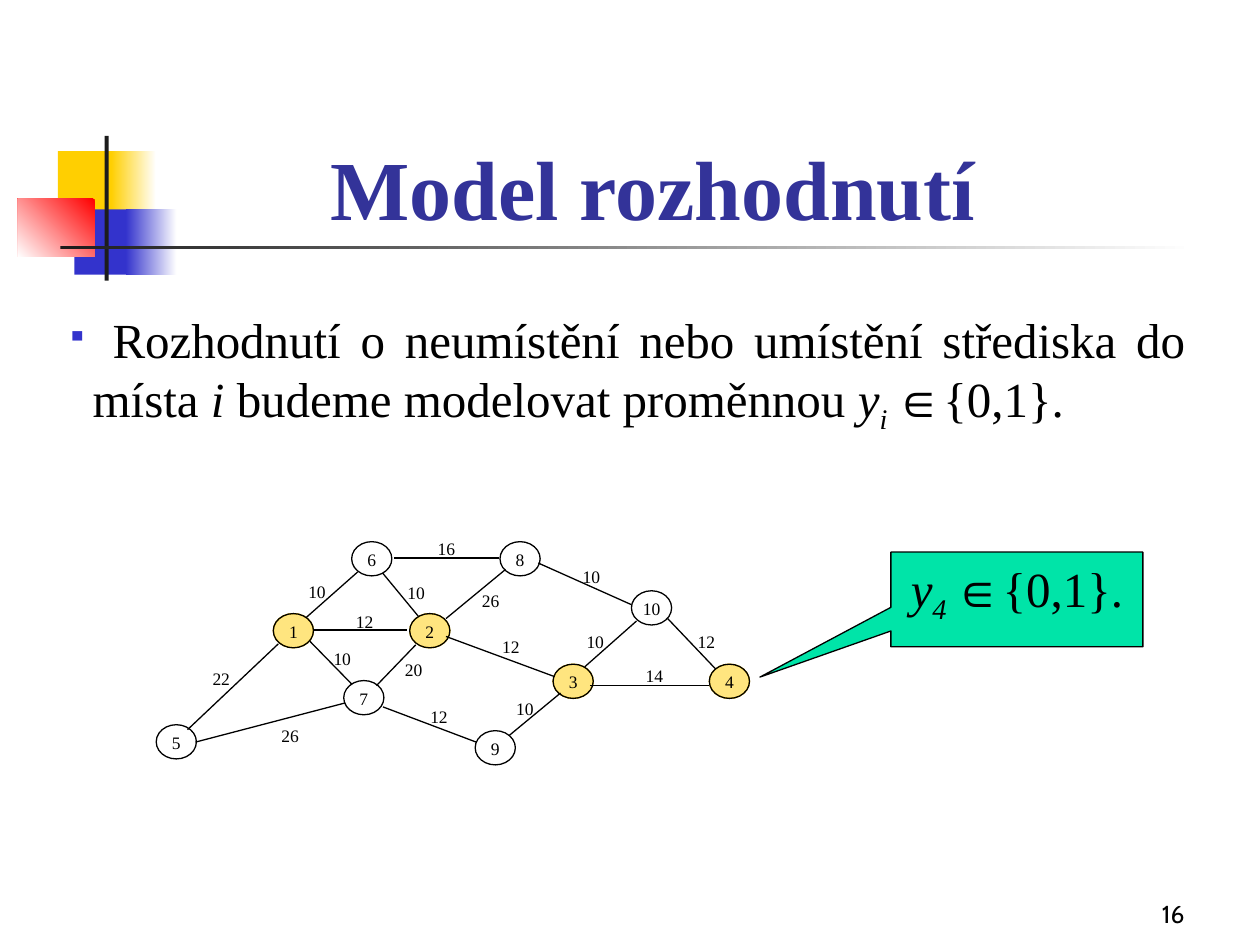
import pptx
import pptx.dml.color
import pptx.enum.shapes
import pptx.enum.text
import pptx.oxml
import pptx.oxml.ns
import pptx.util

Cm = pptx.util.Cm
Pt = pptx.util.Pt
SHAPE = pptx.enum.shapes.MSO_SHAPE
ALIGN = pptx.enum.text.PP_ALIGN
ANCHOR = pptx.enum.text.MSO_ANCHOR

NODE_WIDTH, NODE_HEIGHT = 0.81, 0.69
NUMBER_WIDTH, WEIGHT_WIDTH = 0.91, 1.04

# number: left, top
NODES = {
    1: (5.51, 12.37), 2: (8.26, 12.37), 3: (11.15, 13.39), 4: (14.3, 13.39),
    5: (3.15, 14.61), 6: (7.09, 10.92), 7: (6.93, 13.72), 8: (10.08, 10.92),
    9: (9.58, 14.73), 10: (12.73, 11.91),
}
CENTRES = (1, 2, 3, 4)

# line start, line end, weight, left and top of the weight
EDGES = [
    ((3.78, 14.71), (5.61, 12.98), 22, (3.94, 13.34)),
    ((3.94, 14.96), (6.96, 14.17), 26, (5.33, 14.5)),
    ((6.25, 12.93), (7.09, 13.79), 10, (6.38, 12.93)),
    ((6.17, 12.45), (7.21, 11.53), 10, (5.87, 11.58)),
    ((6.32, 12.7), (8.2, 12.7), 12, (6.83, 12.19)),
    ((8.99, 12.83), (11.18, 13.64), 12, (9.78, 12.7)),
    ((11.89, 13.82), (14.3, 13.82), 14, (12.67, 13.28)),
    ((7.59, 13.82), (8.38, 13.0), 20, (7.82, 13.16)),
    ((7.72, 14.25), (9.6, 14.96), 12, (8.33, 14.1)),
    ((10.26, 14.83), (11.3, 13.97), 10, (10.06, 13.94)),
    ((7.95, 11.25), (10.06, 11.25), 16, (8.48, 10.72)),
    ((7.72, 11.56), (8.43, 12.42), 10, (7.87, 11.61)),
    ((8.99, 12.47), (10.19, 11.48), 26, (9.37, 11.76)),
    ((10.85, 11.35), (12.73, 12.19), 10, (11.4, 11.28)),
    ((11.79, 13.44), (12.83, 12.52), 10, (11.48, 12.6)),
    ((13.46, 12.47), (14.43, 13.49), 12, (13.72, 12.6)),
]


def color(hex_string):
    return pptx.dml.color.RGBColor.from_string(hex_string)


def add_element(parent, tag, **attributes):
    element = pptx.oxml.parse_xml(f"<{tag} {pptx.oxml.ns.nsdecls('a')}/>")
    for name, value in attributes.items():
        element.set(name, value)
    parent.append(element)


class SlideBuilder:
    font = "Times New Roman"
    ink = "000000"
    line_width = 0.75

    def __init__(self, slide):
        self.slide = slide

    def shape(self, kind, box, fill=None, line=None):
        shape = self.slide.shapes.add_shape(kind, *map(Cm, box))
        shape.shadow.inherit = False
        if fill:
            shape.fill.solid()
            shape.fill.fore_color.rgb = color(fill)
        else:
            shape.fill.background()
        if line:
            shape.line.color.rgb = color(line)
            shape.line.width = Pt(self.line_width)
        else:
            shape.line.fill.background()
        return shape

    def gradient(self, box, start, end="FFFFFF", angle=0):
        """Add a rectangle shading from start to end; angle is counter-clockwise."""
        fill = self.shape(SHAPE.RECTANGLE, box).fill
        fill.gradient()
        fill.gradient_angle = angle
        for stop, hex_string in zip(fill.gradient_stops, (start, end)):
            stop.color.rgb = color(hex_string)

    def highlight(self, box, hex_string="FFCC00"):
        """Add an ellipse with a half-transparent fill."""
        shape = self.shape(SHAPE.OVAL, box, hex_string, hex_string)
        solid_fill = shape._element.spPr.find(pptx.oxml.ns.qn("a:solidFill"))
        add_element(solid_fill[0], "a:alpha", val="50000")

    def line(self, start, end):
        connector = self.slide.shapes.add_connector(
            pptx.enum.shapes.MSO_CONNECTOR.STRAIGHT, *map(Cm, start + end))
        connector.line.color.rgb = color(self.ink)
        connector.line.width = Pt(self.line_width)
        add_element(connector._element.spPr, "a:effectLst")

    def style(self, run, size, font=None, hex_string=None, bold=False, italic=False,
              subscript=False):
        run.font.size = Pt(size)
        run.font.name = font or self.font
        run.font.bold = bold
        run.font.italic = italic
        run.font.color.rgb = color(hex_string or self.ink)
        if subscript:
            run._r.get_or_add_rPr().set("baseline", "-25000")

    def fill_text(self, shape, runs, size, align, anchor=ANCHOR.TOP):
        """Fill the shape with one paragraph of (text, style) runs."""
        frame = shape.text_frame
        frame.word_wrap = True
        frame.vertical_anchor = anchor
        paragraph = frame.paragraphs[0]
        paragraph.alignment = align
        for text, options in runs:
            run = paragraph.add_run()
            run.text = text
            self.style(run, size, **options)
        return paragraph

    def text(self, box, runs, size, align=ALIGN.CENTER, anchor=ANCHOR.TOP):
        shape = self.slide.shapes.add_textbox(*map(Cm, box))
        return self.fill_text(shape, runs, size, align, anchor)

    def bullet(self, paragraph, character, hex_string, percent, indent):
        properties = paragraph._p.get_or_add_pPr()
        properties.set("marL", str(Cm(indent)))
        properties.set("indent", str(-Cm(indent)))
        add_element(properties, "a:buClr")
        add_element(properties[-1], "a:srgbClr", val=hex_string)
        add_element(properties, "a:buSzPct", val=str(percent * 1000))
        add_element(properties, "a:buChar", char=character)


def variable_in_set(index):
    """Runs for a decision variable that is zero or one."""
    return [("y", {"italic": True}),
            (index + " ", {"italic": True, "subscript": True}),
            ("∈", {"italic": True, "font": "Arial"}),
            ("{0,1}.", {})]


def draw_decoration(builder):
    builder.shape(SHAPE.RECTANGLE, (1.17, 3.05, 1.22, 1.32), "FFCF01")
    builder.gradient((2.24, 3.05, 0.91, 1.32), "FFCF01")
    builder.shape(SHAPE.RECTANGLE, (1.5, 4.22, 1.17, 1.32), "3333CC")
    builder.gradient((2.54, 4.22, 1.02, 1.32), "3333CC")
    builder.gradient((0.36, 4.01, 1.55, 1.17), "FF0000", angle=225)
    builder.shape(SHAPE.RECTANGLE, (2.11, 2.74, 0.08, 2.92), "1C1C1C")
    builder.gradient((1.22, 4.95, 22.86, 0.08), "1C1C1C")


def draw_network(builder):
    for number in CENTRES:
        builder.highlight((*NODES[number], NODE_WIDTH, NODE_HEIGHT))
    for number, (left, top) in NODES.items():
        builder.shape(SHAPE.OVAL, (left, top, NODE_WIDTH, NODE_HEIGHT), line=builder.ink)
        number_left = left - (NUMBER_WIDTH - NODE_WIDTH) / 2
        builder.text((number_left, top + 0.02, NUMBER_WIDTH, NODE_HEIGHT),
                     [(str(number), {})], 10)
    for start, end, weight, position in EDGES:
        builder.line(start, end)
        builder.text((*position, WEIGHT_WIDTH, NODE_HEIGHT), [(str(weight), {})], 10)


def main():
    presentation = pptx.Presentation()
    presentation.slide_width = Cm(25.4)
    presentation.slide_height = Cm(19.05)
    builder = SlideBuilder(presentation.slides.add_slide(presentation.slide_layouts[6]))

    draw_decoration(builder)
    builder.text((2.34, 1.07, 21.64, 3.84),
                 [("Model rozhodnutí", {"bold": True, "hex_string": "333399"})],
                 48, anchor=ANCHOR.BOTTOM)
    statement = builder.text(
        (1.09, 6.12, 23.06, 2.97),
        [(" Rozhodnutí o neumístění nebo umístění střediska do místa ", {}),
         ("i", {"italic": True}),
         (" budeme modelovat proměnnou ", {}),
         *variable_in_set("i")],
        28, ALIGN.JUSTIFY)
    builder.bullet(statement, "▪", "3333CC", 60, 0.53)

    draw_network(builder)
    callout = builder.shape(SHAPE.RECTANGULAR_CALLOUT, (17.96, 11.13, 5.08, 1.91),
                            "00E4A8", builder.ink)
    callout.adjustments[0] = -1.02
    callout.adjustments[1] = 0.82
    builder.fill_text(callout, variable_in_set("4"), 28, ALIGN.CENTER)

    builder.text((18.85, 17.58, 5.28, 1.27), [("16", {"font": "Cabin"})],
                 14, ALIGN.RIGHT, ANCHOR.BOTTOM)
    presentation.save("out.pptx")


if __name__ == "__main__":
    main()
